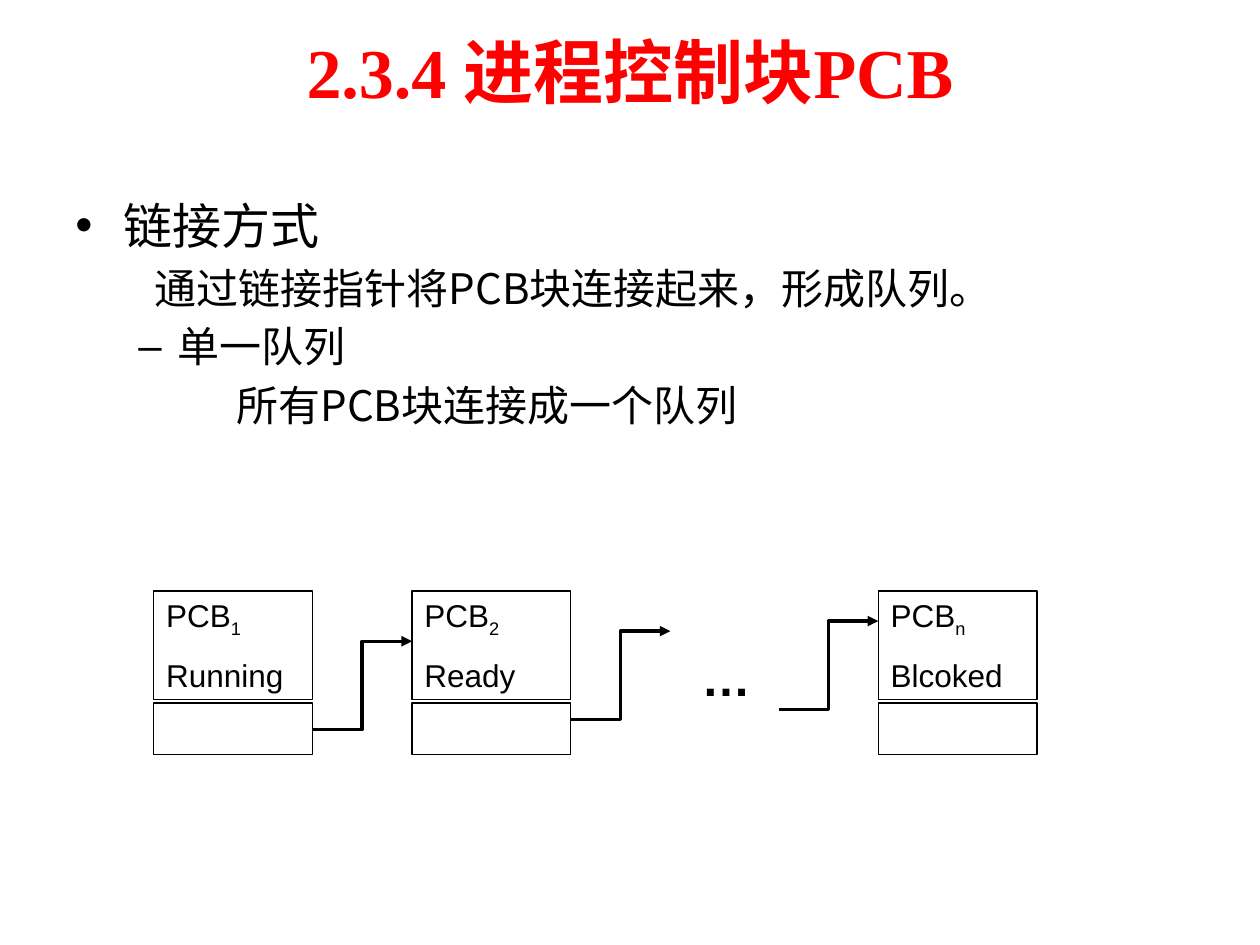
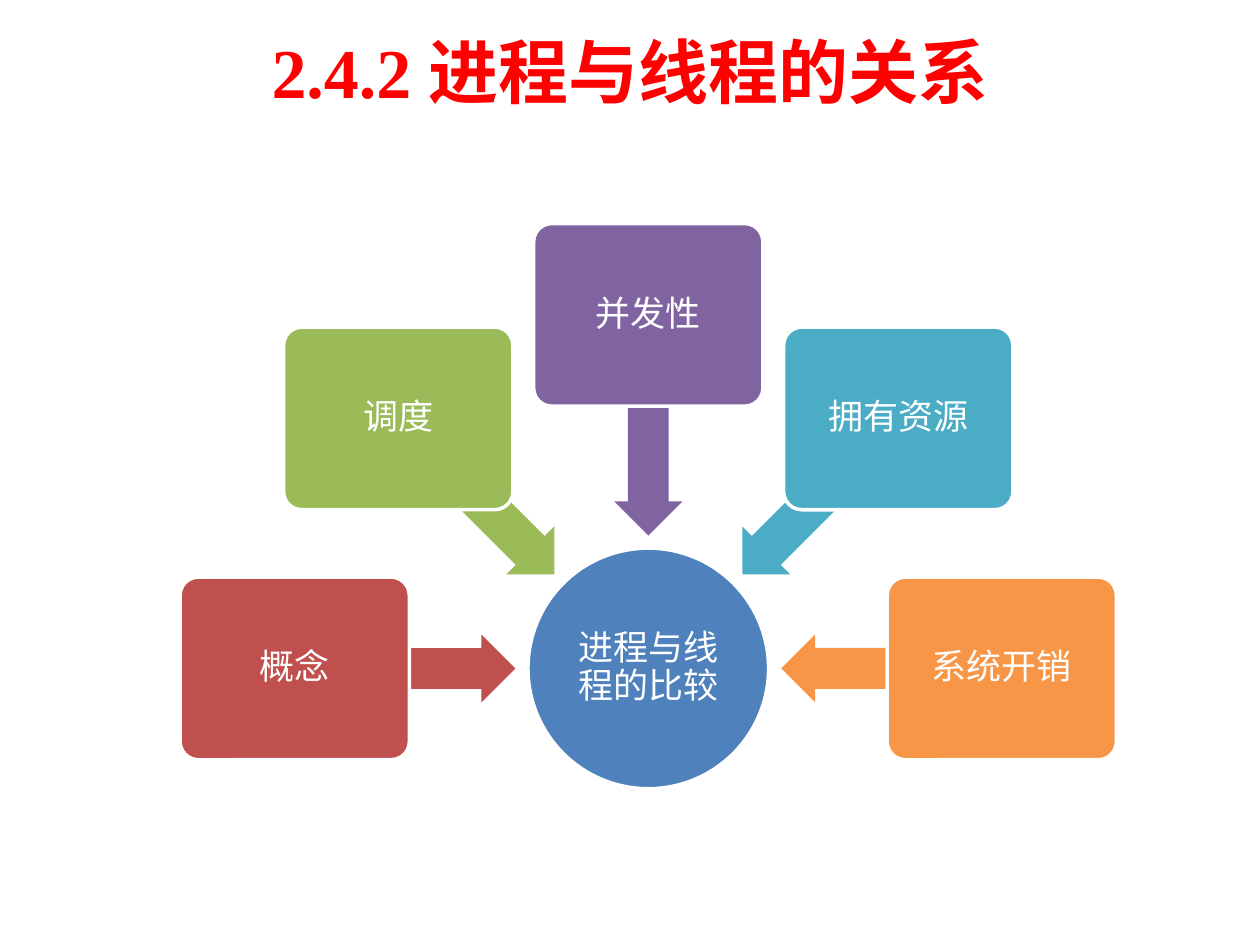
from math import cos, radians, sin
from pptx import Presentation
from pptx.dml.color import RGBColor
from pptx.enum.shapes import MSO_CONNECTOR as Link, MSO_SHAPE as Kind
from pptx.enum.text import MSO_ANCHOR as Anchor, PP_ALIGN as Align
from pptx.oxml.ns import qn
from pptx.util import Inches, Pt
from lxml.etree import SubElement as Sub

COLS, ROWS = 100, 75
WIDE, HIGH = Inches(10), Inches(7.5)
BLACK, WHITE, RED, BLUE = "000000", "FFFFFF", "FF0000", "4F81BD"
TIMES, ARIAL, CALIBRI, HAN = "Times New Roman", "Arial", "Calibri", "Noto Sans CJK SC"
HEAD = (5, 0.5, 90, 10.2)
BODY = (5, 14.7, 90, 49.5)
CHAIN = (12.2, 46.9, 70.1, 13)
WHEEL = (14.3, 17.7, 74.3, 44.9)


def tint(hue):
    """Turn a hex string into a colour."""
    return RGBColor.from_string(hue)


def grid(*cells):
    """Turn column and row pairs into slide lengths."""
    return [round(cell * (HIGH / ROWS if odd % 2 else WIDE / COLS))
            for odd, cell in enumerate(cells)]


def write(para, text, size, font, hue, bold=False, base=0):
    """Add one run to a paragraph."""
    run = para.add_run()
    run.text = text
    face = run.font
    face.size, face.name, face.bold = Pt(size), font, bold
    face.color.rgb = tint(hue)
    props = face._element
    Sub(props, qn("a:ea")).set("typeface", HAN)
    if base:
        props.set("baseline", str(base * 1000))


def label(slide, box):
    """Add a wrapping text box and return its frame."""
    frame = slide.shapes.add_textbox(*grid(*box)).text_frame
    frame.word_wrap = True
    return frame


def shape(slide, kind, box, fill=None, line=None, width=1.0):
    """Add a flat preset shape."""
    item = slide.shapes.add_shape(kind, *grid(*box))
    item.shadow.inherit = False
    if fill:
        item.fill.solid()
        item.fill.fore_color.rgb = tint(fill)
    else:
        item.fill.background()
    if line:
        item.line.color.rgb = tint(line)
        item.line.width = Pt(width)
    else:
        item.line.fill.background()
    return item


def title(slide, text, box=HEAD):
    """Write the red centred title."""
    frame = label(slide, box)
    frame.vertical_anchor = Anchor.MIDDLE
    para = frame.paragraphs[0]
    para.alignment = Align.CENTER
    write(para, text, 40, TIMES, RED, True)


def points(slide, box, items):
    """Write the indented list with its bullets."""
    frame = label(slide, box)
    for spot, (text, size, font, left, first, mark) in enumerate(items):
        para = frame.add_paragraph() if spot else frame.paragraphs[0]
        para.line_spacing = Pt(33.4 if spot else 36)
        props = para._p.get_or_add_pPr()
        props.set("marL", str(Inches(left)))
        props.set("indent", str(Inches(first)))
        if mark:
            Sub(props, qn("a:buFont")).set("typeface", ARIAL)
            Sub(props, qn("a:buChar")).set("char", mark)
        else:
            Sub(props, qn("a:buNone"))
        write(para, text, size, font, BLACK)


def block(slide, box, sub, state):
    """Draw one control block with its pointer cell."""
    left, top, wide, high = box
    card = shape(slide, Kind.RECTANGLE, (left, top, wide, 8.6), line=BLACK, width=0.75)
    shape(slide, Kind.RECTANGLE, (left, top + 8.9, wide, high - 8.9), line=BLACK, width=0.75)
    frame = card.text_frame
    frame.word_wrap = True
    frame.vertical_anchor = Anchor.MIDDLE
    name, note = frame.paragraphs[0], frame.add_paragraph()
    note.space_before = Pt(10)
    name.alignment = note.alignment = Align.LEFT
    write(name, "PCB", 18, ARIAL, BLACK)
    write(name, sub, 18, ARIAL, BLACK, base=-25)
    write(note, state, 18, ARIAL, BLACK)


def arrow(slide, left, base):
    """Draw an elbow arrow that climbs to the right."""
    link = slide.shapes.add_connector(Link.ELBOW, *grid(left, base, left + 7.9, base - 7))
    link.line.color.rgb = tint(BLACK)
    link.line.width = Pt(2)
    Sub(link.line._get_or_add_ln(), qn("a:tailEnd")).set("type", "triangle")
    Sub(link._element.spPr, qn("a:effectLst"))


def chain(slide, box):
    """Draw the queue of linked control blocks."""
    left, top, wide, high = box
    card, step = 12.6, 20.5
    last = wide - card
    blocks = [(0, "1", "Running"), (step, "2", "Ready"), (last, "n", "Blcoked")]
    for move, sub, state in blocks:
        block(slide, (left + move, top, card, high), sub, state)
    for rank, move in enumerate((card, step + card, last - 7.9)):
        arrow(slide, left + move, top + 11 - 0.8 * rank)
    dots = label(slide, (left + 42.5, top + 4, 6.3, 5.7))
    write(dots.paragraphs[0], "…", 28, ARIAL, BLACK, True)


def caption(item, text, pad):
    """Centre white text inside a shape."""
    frame = item.text_frame
    frame.word_wrap = True
    frame.vertical_anchor = Anchor.MIDDLE
    frame.margin_left = frame.margin_right = Inches(pad)
    frame.margin_top = frame.margin_bottom = Inches(pad)
    para = frame.paragraphs[0]
    para.alignment = Align.CENTER
    para.line_spacing = 0.9
    write(para, text, 20, CALIBRI, WHITE)


def wheel(slide, box, core, topics):
    """Draw topics on a half circle, each pointing at the core."""
    left, top, wide, high = box
    disc, card, tall = 19.1, 18.2, 14.5
    midx, midy = left + wide / 2, top + high - disc / 2

    def spot(turn, reach, width, height):
        """Return the box centred at an angle and distance from the core."""
        angle = radians(turn)
        return (midx + reach * cos(angle) - width / 2,
                midy + reach * sin(angle) - height / 2, width, height)

    hub = shape(slide, Kind.OVAL, spot(0, 0, disc, disc), BLUE, WHITE, 2)
    caption(hub, core, 0.01)
    for rank, (text, hue) in enumerate(topics):
        turn = 180 + 45 * rank
        dart = shape(slide, Kind.LEFT_ARROW, spot(turn, 19.3, 17.5, 5.4), hue)
        dart.rotation = turn % 360
        dart.adjustments[0] = 0.6
        dart.adjustments[1] = 0.5
        tile = shape(slide, Kind.ROUNDED_RECTANGLE, spot(turn, 28.06, card, tall), hue, WHITE, 2)
        tile.adjustments[0] = 0.1
        caption(tile, text, 0.04)


def main():
    """Build both slides and save them."""
    deck = Presentation()
    deck.slide_width, deck.slide_height = WIDE, HIGH
    blank = deck.slide_layouts[6]

    queue = deck.slides.add_slide(blank)
    title(queue, "2.3.4 进程控制块PCB")
    points(queue, BODY, [
        ("链接方式", 28, TIMES, 0.38, -0.38, "•"),
        ("通过链接指针将PCB块连接起来，形成队列。", 24, HAN, 0.81, -0.18, None),
        ("单一队列", 24, TIMES, 0.81, -0.31, "–"),
        ("所有PCB块连接成一个队列", 24, HAN, 1.28, 0, None),
    ])
    chain(queue, CHAIN)

    bonds = deck.slides.add_slide(blank)
    title(bonds, "2.4.2 进程与线程的关系")
    wheel(bonds, WHEEL, "进程与线程的比较", [
        ("概念", "C0504D"),
        ("调度", "9BBB59"),
        ("并发性", "8064A2"),
        ("拥有资源", "4BACC6"),
        ("系统开销", "F79646"),
    ])
    deck.save("out.pptx")


if __name__ == "__main__":
    main()
